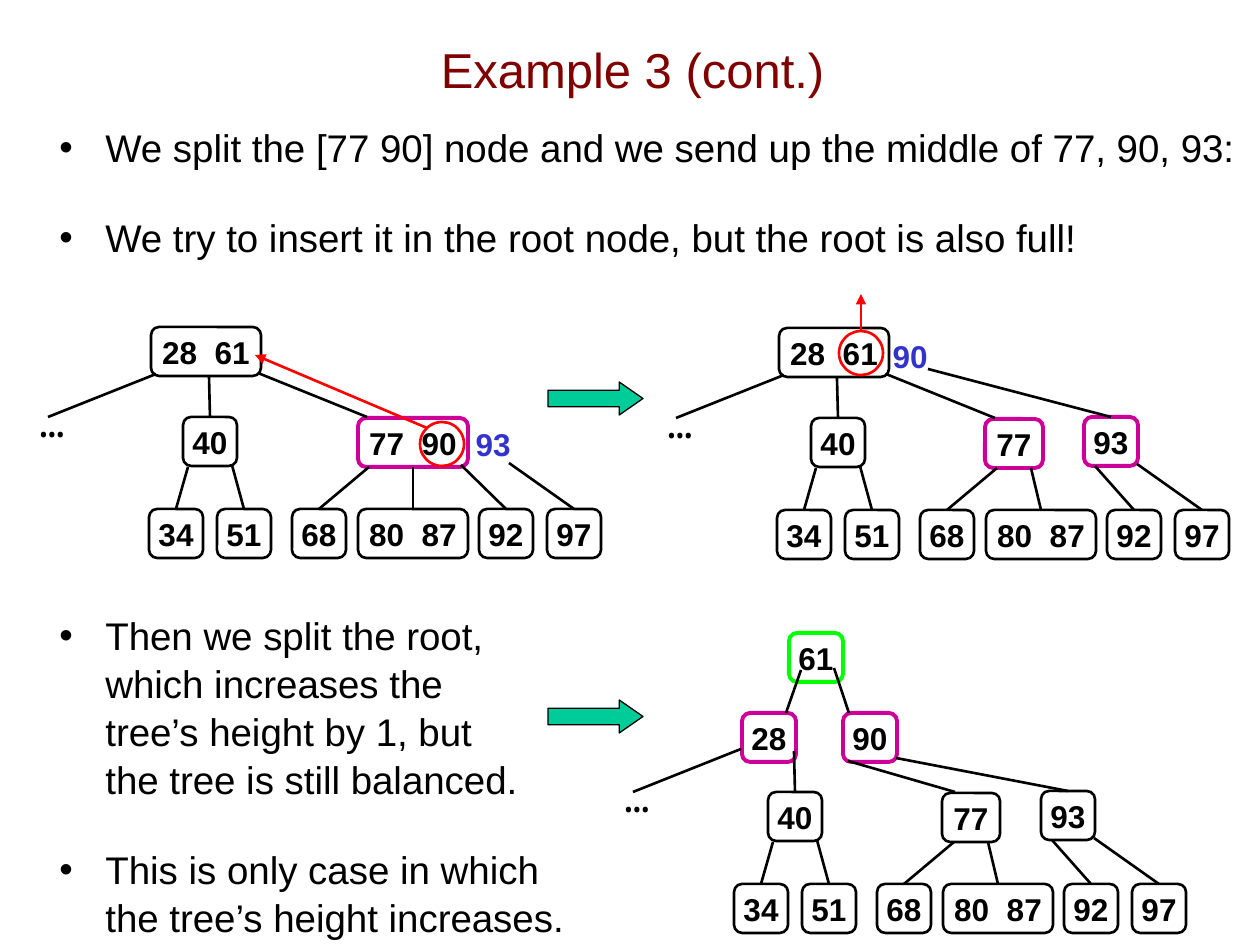
"""Build a slide showing a node split moving up through a 2-3 tree."""
import pptx
import pptx.util
import pptx.dml.color
import pptx.enum.shapes
import pptx.enum.text
import pptx.oxml.ns
import lxml.etree

PX = 914400 / 126
RGB = pptx.dml.color.RGBColor
BLACK, WHITE = RGB(0, 0, 0), RGB(255, 255, 255)
MAROON, GREEN = RGB(0x80, 0, 0), RGB(0, 0xCC, 0x99)
MAGENTA, LIME = RGB(0xCC, 0, 0x99), RGB(0, 0xFF, 0)
RED, BLUE = RGB(0xFF, 0, 0), RGB(0x33, 0x33, 0xCC)
SHAPES = pptx.enum.shapes.MSO_SHAPE
CENTER = pptx.enum.text.PP_ALIGN.CENTER
MIDDLE = pptx.enum.text.MSO_ANCHOR.MIDDLE
NARROW, WIDE, NODE_HEIGHT = 54, 110, 49
TOP, BOTTOM = 0, 2

TITLE = "Example 3 (cont.)"
BULLET_BOXES = [
    ((47, 116, 1213, 150), [
        "We split the [77 90] node and we send up the middle of 77, 90, 93:",
        "We try to insert it in the root node, but the root is also full!"]),
    ((47, 604, 560, 335), [
        "Then we split the root,\vwhich increases the\vtree’s height by 1, but\v"
        "the tree is still balanced.",
        "This is only case in which\vthe tree’s height increases."]),
]

# Nodes are (keys, left, top, width, outline); edges are (start, end), by node or by point.
SHARED_NODES = [("40", 183, 417, NARROW, BLACK)] + [
    (keys, left, 509, width, BLACK) for keys, left, width in [
        ("34", 149, NARROW), ("51", 217, NARROW), ("68", 292, NARROW),
        ("80  87", 358, WIDE), ("92", 479, NARROW), ("97", 547, NARROW)]]
SHARED_EDGES = [
    ((156, 374), (48, 417)), ((209, 376), "40"), ((188, 467), "34"),
    ((232, 465), "51"), ((369, 467), "68"), ((509, 463), "97")]
ROOT = ("28  61", 151, 327, WIDE, BLACK)
ROOT_EDGE = ((258, 373), (367, 417))
SPLIT_EDGES = [((403, 467), "80  87"), ((467, 465), "92")]
TREES = [
    {"offset": (0, 0),
     "nodes": [ROOT, ("77  90", 358, 418, WIDE, MAGENTA)],
     "edges": [ROOT_EDGE, ("77  90", "80  87"), ((461, 465), "92")]},
    {"offset": (628, 1),
     "nodes": [ROOT, ("77", 357, 418, 58, MAGENTA), ("93", 456, 416, NARROW, MAGENTA)],
     "edges": SPLIT_EDGES + [ROOT_EDGE, ((300, 368), "93")]},
    {"offset": (585, 375),
     "nodes": [("61", 204, 258, NARROW, LIME), ("28", 157, 338, NARROW, MAGENTA),
               ("90", 258, 338, NARROW, MAGENTA), ("77", 357, 418, 58, BLACK),
               ("93", 456, 416, NARROW, BLACK)],
     "edges": SPLIT_EDGES + [((216, 295), (201, 338)), ((249, 293), (264, 338)),
                             ((263, 386), (370, 417)), ((311, 383), "93")]},
]
OVERFLOW_KEYS = [("93", 472, 418), ("90", 889, 330)]
CIRCLES = [(420, 422), (839, 331)]
PROMOTIONS = [((427, 428), (255, 355)), ((861, 331), (861, 294))]
STEP_ARROWS = [(548, 382), (548, 700)]


def px(*lengths):
    return [round(length * PX) for length in lengths]


def add_shape(slide, kind, box, fill, line, weight):
    shape = slide.shapes.add_shape(kind, *px(*box))
    shape.shadow.inherit = False
    if fill is None:
        shape.fill.background()
    else:
        shape.fill.solid()
        shape.fill.fore_color.rgb = fill
    shape.line.color.rgb = line
    shape.line.width = pptx.util.Pt(weight)
    return shape


def format_font(paragraph, size, color, bold=False, name="Arial"):
    font = paragraph.font
    font.size, font.bold, font.name = pptx.util.Pt(size), bold, name
    font.color.rgb = color


def write_label(shape, text, size=18, color=BLACK, bold=True, name="Arial"):
    frame = shape.text_frame
    frame.word_wrap = False
    frame.vertical_anchor = MIDDLE
    frame.margin_left = frame.margin_right = frame.margin_top = frame.margin_bottom = 0
    paragraph = frame.paragraphs[0]
    paragraph.text, paragraph.alignment = text, CENTER
    format_font(paragraph, size, color, bold, name)


def add_line(slide, start, end, color=BLACK, arrow=False):
    line = slide.shapes.add_connector(
        pptx.enum.shapes.MSO_CONNECTOR.STRAIGHT, *px(*start, *end))
    line.line.color.rgb = color
    line.line.width = pptx.util.Pt(1.5)
    if arrow:
        lxml.etree.SubElement(line.line._get_or_add_ln(),
                              pptx.oxml.ns.qn("a:tailEnd"), type="triangle")
    lxml.etree.SubElement(line._element.spPr, pptx.oxml.ns.qn("a:effectLst"))
    return line


def add_tree(slide, tree):
    right, down = tree["offset"]
    nodes = {}
    for keys, left, top, width, outline in SHARED_NODES + tree["nodes"]:
        weight = 1.5 if outline == BLACK else 2.25
        box = (left + right, top + down, width, NODE_HEIGHT)
        nodes[keys] = add_shape(slide, SHAPES.ROUNDED_RECTANGLE, box, WHITE, outline, weight)
        write_label(nodes[keys], keys)
    for edge in SHARED_EDGES + tree["edges"]:
        points = [(0, 0) if end in nodes else (end[0] + right, end[1] + down) for end in edge]
        line = add_line(slide, *points)
        if edge[0] in nodes:
            line.begin_connect(nodes[edge[0]], BOTTOM)
        if edge[1] in nodes:
            line.end_connect(nodes[edge[1]], TOP)
    ellipsis = slide.shapes.add_textbox(*px(26 + right, 396 + down, 52, 50))
    write_label(ellipsis, "…", 24, bold=False, name="Noto Sans Mono")


def add_bullets(slide, box, texts):
    frame = slide.shapes.add_textbox(*px(*box)).text_frame
    frame.word_wrap = True
    for index, text in enumerate(texts):
        paragraph = frame.add_paragraph() if index else frame.paragraphs[0]
        paragraph.text = text
        paragraph.line_spacing = 1.04
        paragraph.space_before = pptx.util.Pt(24 if index else 0)
        format_font(paragraph, 22, BLACK)
        properties = paragraph._p.get_or_add_pPr()
        indent = px(46)[0]
        properties.set("marL", str(indent))
        properties.set("indent", str(-indent))
        lxml.etree.SubElement(properties, pptx.oxml.ns.qn("a:buFont"), typeface="Arial")
        bullet = lxml.etree.SubElement(properties, pptx.oxml.ns.qn("a:buChar"), char="•")
        default_font = properties.find(pptx.oxml.ns.qn("a:defRPr"))
        if default_font is not None:
            bullet.addnext(default_font)


def main():
    presentation = pptx.Presentation()
    presentation.slide_width, presentation.slide_height = px(1260, 945)
    slide = presentation.slides.add_slide(presentation.slide_layouts[5])
    title = slide.shapes.title
    title.left, title.top, title.width, title.height = px(54, 10, 1157, 117)
    title.text_frame.text = TITLE
    title.text_frame.vertical_anchor = MIDDLE
    title.text_frame.paragraphs[0].alignment = CENTER
    format_font(title.text_frame.paragraphs[0], 28, MAROON)
    for box, texts in BULLET_BOXES:
        add_bullets(slide, box, texts)
    for tree in TREES:
        add_tree(slide, tree)
    for key, left, top in OVERFLOW_KEYS:
        write_label(slide.shapes.add_textbox(*px(left, top, 42, 52)), key, color=BLUE)
    for left, top in CIRCLES:
        add_shape(slide, SHAPES.OVAL, (left, top, 44, 44), None, RED, 1.5)
    for start, end in PROMOTIONS:
        add_line(slide, start, end, RED, arrow=True)
    for left, top in STEP_ARROWS:
        arrow = add_shape(slide, SHAPES.RIGHT_ARROW, (left, top, 95, 33), GREEN, BLACK, 0.75)
        arrow.adjustments[1] = 0.72
    presentation.save("out.pptx")


if __name__ == "__main__":
    main()
